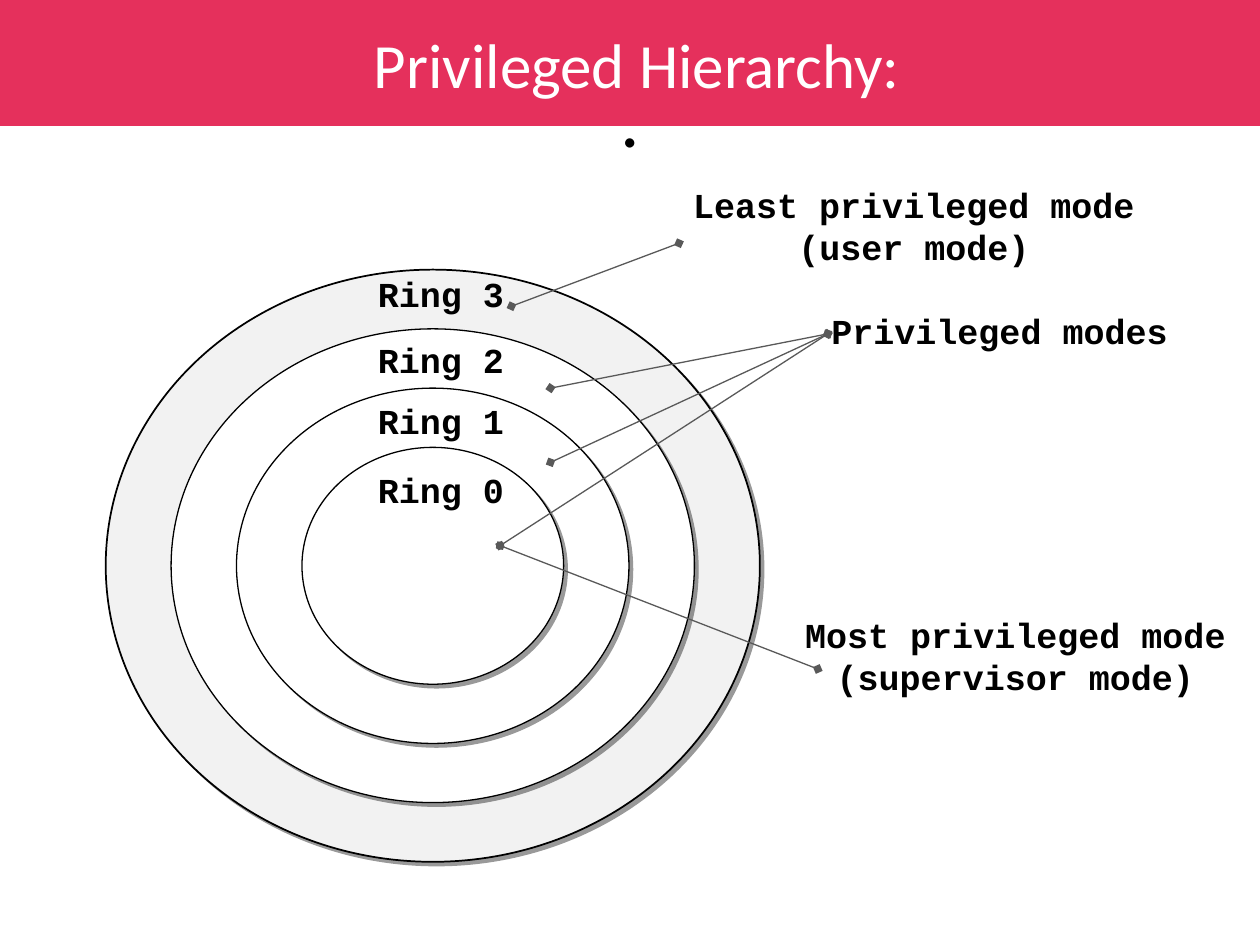
from lxml.etree import SubElement
from pptx import Presentation
from pptx.dml.color import RGBColor
from pptx.enum.shapes import MSO_CONNECTOR as Connector, MSO_SHAPE as Shape
from pptx.enum.text import MSO_ANCHOR as Anchor, PP_ALIGN as Align
from pptx.oxml.ns import qn
from pptx.util import Pt

BLACK, WHITE, PINK, GREY, LINE = "000000", "FFFFFF", "E42452", "F2F2F2", "595959"
TITLE = "Privileged Hierarchy:"
CENTER = (247.3, 323.3)
OUTER_SIZE = (373.8, 338.4)
RINGS = [
    ("Ring 3", 152, 1.0, GREY, 1),
    ("Ring 2", 190, 0.8, WHITE, 0.75),
    ("Ring 1", 224.6, 0.6, WHITE, 0.75),
    ("Ring 0", 264.2, 0.4, WHITE, 0.75),
]
RING_LABEL_LEFT, RING_LABEL_SIZE = 208.8, (86.4, 31.7)
MODES = [
    (["Least privileged mode", "(user mode)"], (388.8, 101.5, 267, 55.4)),
    (["Privileged modes"], (468, 173.5, 206.6, 31.7)),
    (["Most privileged mode", "(supervisor mode)"], (452.9, 347, 254.9, 55.4)),
]
PRIVILEGED, CORE = (473, 190.8), (285.8, 311.8)
POINTERS = [
    ((292.3, 175), (388, 139)),
    ((314.6, 221.8), PRIVILEGED),
    ((314.6, 264.2), PRIVILEGED),
    (CORE, PRIVILEGED),
    (CORE, (467.3, 382.3)),
]
LABEL_FONT = {"name": "Courier New", "size": Pt(20), "bold": True}


def color(value):
    return RGBColor.from_string(value)


def points(values):
    return [Pt(value) for value in values]


def write(shape, lines, font, font_color, wrap=False, anchor=Anchor.TOP):
    frame = shape.text_frame
    frame.word_wrap = wrap
    frame.vertical_anchor = anchor
    frame.text = "\n".join(lines)
    for paragraph in frame.paragraphs:
        paragraph.alignment = Align.CENTER
        for name, value in font.items():
            setattr(paragraph.font, name, value)
        paragraph.font.color.rgb = color(font_color)


def add_label(slide, lines, box, font=LABEL_FONT, **layout):
    write(slide.shapes.add_textbox(*points(box)), lines, font, BLACK, **layout)


def add_filled(slide, kind, box, fill):
    shape = slide.shapes.add_shape(kind, *points(box))
    shape.shadow.inherit = False
    shape.fill.solid()
    shape.fill.fore_color.rgb = color(fill)
    return shape


def add_banner(slide):
    banner = add_filled(slide, Shape.RECTANGLE, (0, 0, 720, 72), PINK)
    banner.line.fill.background()
    tint = banner.fill._xPr.find(qn("a:solidFill"))[0]
    SubElement(tint, qn("a:alpha"), val="94000")
    write(banner, [TITLE], {"name": "Calibri", "size": Pt(36)}, WHITE, True, Anchor.MIDDLE)
    banner.text_frame.margin_left = Pt(15.2)


def add_ring(slide, scale, fill, line_width):
    width, height = (size * scale for size in OUTER_SIZE)
    box = (CENTER[0] - width / 2, CENTER[1] - height / 2, width, height)
    ring = add_filled(slide, Shape.OVAL, box, fill)
    ring.line.color.rgb = color(BLACK)
    ring.line.width = Pt(line_width)
    effects = ring._element.spPr.find(qn("a:effectLst"))
    shadow = SubElement(effects, qn("a:outerShdw"), blurRad="0", dist=str(Pt(3)),
                        dir="2700000", algn="tl", rotWithShape="0")
    tint = SubElement(shadow, qn("a:srgbClr"), val=BLACK)
    SubElement(tint, qn("a:alpha"), val="40000")


def add_pointer(slide, start, end):
    pointer = slide.shapes.add_connector(Connector.STRAIGHT, *points(start + end))
    pointer.line.color.rgb = color(LINE)
    pointer.line.width = Pt(0.75)
    line = pointer.line._get_or_add_ln()
    for tag in ("a:headEnd", "a:tailEnd"):
        SubElement(line, qn(tag), type="diamond")
    SubElement(pointer._element.spPr, qn("a:effectLst"))


def main():
    presentation = Presentation()
    presentation.slide_width, presentation.slide_height = Pt(720), Pt(540)
    slide = presentation.slides.add_slide(presentation.slide_layouts[6])
    add_label(slide, ["."], (36, 21.6, 648, 90), {"name": "Calibri", "size": Pt(44)},
              wrap=True, anchor=Anchor.MIDDLE)
    add_banner(slide)
    for _, _, scale, fill, line_width in RINGS:
        add_ring(slide, scale, fill, line_width)
    for name, top, *_ in RINGS:
        add_label(slide, [name], (RING_LABEL_LEFT, top, *RING_LABEL_SIZE))
    for start, end in POINTERS:
        add_pointer(slide, start, end)
    for lines, box in MODES:
        add_label(slide, lines, box)
    presentation.save("out.pptx")


if __name__ == "__main__":
    main()
